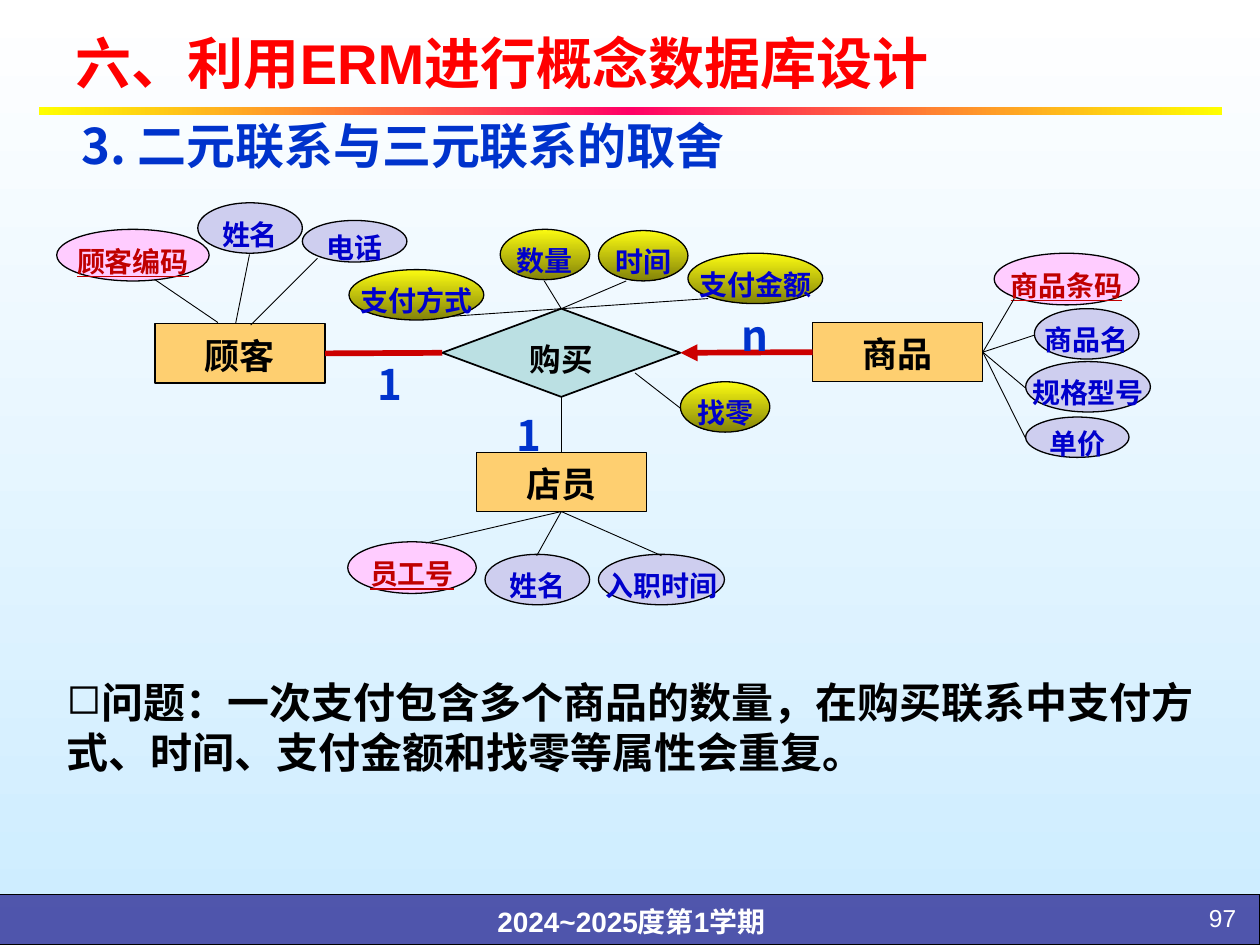
from copy import deepcopy
from dataclasses import dataclass

from lxml import etree
from pptx import Presentation, util as u
from pptx.dml.color import RGBColor
from pptx.enum import shapes as sh, text as tx
from pptx.oxml import ns


@dataclass(frozen=True)
class Theme:
    """Fonts, colours and type sizes of the slide."""
    latin: str = "Arial"
    cjk: str = "Noto Sans CJK SC"
    black: str = "000000"
    white: str = "FFFFFF"
    title: str = "FF0000"
    heading: str = "0033CC"
    label: str = "0000CC"
    key_label: str = "C00000"
    key: str = "FFCCFF"
    attribute: str = "CECEEF"
    relation_attribute: tuple = ("FBFB11", "838309")
    entity: str = "FECF70"
    relation: str = "BBE0E3"
    link: str = "CC0000"
    footer: str = "333399"
    rule: tuple = ("FFFF00", "FF0066", "FFFF00")
    backdrop: tuple = ("FFFFFF", "CCECFF")
    title_size: int = 32
    heading_size: int = 28
    body_size: int = 24
    entity_size: int = 20
    relation_size: int = 18
    label_size: int = 16
    number_size: int = 14


T = Theme()
ENTITY_SIZE = (1.35, 0.47)
TOP, LEFT, BOTTOM, RIGHT = range(4)

ATTRIBUTES = [
    ("顾客编码", (0.45, 1.82, 1.21, 0.41), "key"),
    ("姓名", (1.57, 1.61, 0.83, 0.4), "plain"),
    ("电话", (2.4, 1.75, 0.83, 0.33), "plain"),
    ("员工号", (2.76, 4.3, 1.02, 0.41), "key"),
    ("姓名", (3.85, 4.4, 0.83, 0.4), "plain"),
    ("入职时间", (4.75, 4.4, 1, 0.4), "plain"),
    ("商品条码", (7.89, 2.01, 1.15, 0.41), "key"),
    ("商品名", (8.21, 2.45, 0.83, 0.4), "plain"),
    ("规格型号", (8.14, 2.87, 0.99, 0.4), "plain"),
    ("单价", (8.14, 3.31, 0.82, 0.32), "plain"),
    ("数量", (3.97, 1.82, 0.71, 0.4), "relation"),
    ("时间", (4.75, 1.83, 0.71, 0.4), "relation"),
    ("支付金额", (5.46, 2.01, 1.07, 0.4), "relation"),
    ("找零", (5.4, 3.03, 0.71, 0.4), "relation"),
    ("支付方式", (2.77, 2.14, 1.07, 0.4), "relation"),
]


def inches(values):
    """Turn plain numbers into lengths."""
    return [u.Inches(value) for value in values]


def rgb(color):
    """Read a hex colour."""
    return RGBColor.from_string(color)


def blend(fill, colors, angle):
    """Fill with evenly spaced gradient stops."""
    fill.gradient()
    fill.gradient_angle = angle
    stop_list = fill.gradient_stops[0]._gs.getparent()
    for _ in colors[2:]:
        stop_list.append(deepcopy(stop_list[0]))
    for index, (stop, color) in enumerate(zip(fill.gradient_stops, colors)):
        stop.color.rgb = rgb(color)
        stop.position = index / (len(colors) - 1)


def write(shape, words, *, size, color, font=T.cjk, bold=True, underline=None,
          align=None, spacing=None, anchor=tx.MSO_ANCHOR.TOP, wrap=True,
          grow=False, bullet=None):
    """Put one formatted paragraph into a shape."""
    frame = shape.text_frame
    frame.word_wrap = wrap
    frame.vertical_anchor = anchor
    frame.auto_size = (tx.MSO_AUTO_SIZE.SHAPE_TO_FIT_TEXT if grow
                       else tx.MSO_AUTO_SIZE.NONE)
    paragraph = frame.paragraphs[0]
    paragraph.alignment = align
    paragraph.line_spacing = spacing
    if bullet:
        mark = etree.SubElement(paragraph._p.get_or_add_pPr(), ns.qn("a:buChar"))
        mark.set("char", bullet)
    run = paragraph.add_run()
    run.text = words
    style = run.font
    style.size, style.bold, style.underline = u.Pt(size), bold, underline
    style.color.rgb, style.name = rgb(color), font
    east = etree.SubElement(run._r.get_or_add_rPr(), ns.qn("a:ea"))
    east.set("typeface", T.cjk)


def add_box(slide, kind, at, fill, line=0.75, angle=270):
    """Draw a preset shape with a solid or gradient fill."""
    box = slide.shapes.add_shape(kind, *inches(at))
    box.shadow.inherit = False
    if isinstance(fill, tuple):
        blend(box.fill, fill, angle)
    else:
        box.fill.solid()
        box.fill.fore_color.rgb = rgb(fill)
    if line:
        box.line.color.rgb = rgb(T.black)
        box.line.width = u.Pt(line)
    else:
        box.line.fill.background()
    return box


def add_text(slide, words, at, **style):
    """Add a text box."""
    write(slide.shapes.add_textbox(*inches(at)), words, **style)


def add_entity(slide, name, left, top):
    """Draw an entity rectangle."""
    box = add_box(slide, sh.MSO_SHAPE.RECTANGLE, (left, top, *ENTITY_SIZE), T.entity)
    write(box, name, size=T.entity_size, color=T.black,
          align=tx.PP_ALIGN.CENTER, spacing=1.1)
    return box


def add_attribute(slide, name, at, role):
    """Draw an attribute ellipse, underlined when it is a key."""
    fills = {"key": T.key, "plain": T.attribute, "relation": T.relation_attribute}
    is_key = role == "key"
    oval = add_box(slide, sh.MSO_SHAPE.OVAL, at, fills[role])
    write(oval, name, size=T.label_size, color=T.key_label if is_key else T.label,
          underline=is_key or None, align=tx.PP_ALIGN.CENTER, spacing=1.35,
          anchor=tx.MSO_ANCHOR.MIDDLE, wrap=False)


def add_line(slide, start, end, color=T.black, width=0.5, arrow=False):
    """Link two ends, each a point or a (shape, side) pair."""
    points = [(0, 0) if hasattr(stop[0], "shape_id") else stop for stop in (start, end)]
    line = slide.shapes.add_connector(
        sh.MSO_CONNECTOR.STRAIGHT, *inches(points[0] + points[1]))
    for stop, join in ((start, line.begin_connect), (end, line.end_connect)):
        if hasattr(stop[0], "shape_id"):
            join(*stop)
    line.line.color.rgb = rgb(color)
    line.line.width = u.Pt(width)
    if arrow:
        head = etree.SubElement(line.line._get_or_add_ln(), ns.qn("a:headEnd"))
        head.set("type", "triangle")
    etree.SubElement(line._element.spPr, ns.qn("a:effectLst"))


def add_frame(slide):
    """Draw the backdrop, title, rule and footer."""
    blend(slide.background.fill, T.backdrop, 270)
    band = add_box(slide, sh.MSO_SHAPE.RECTANGLE, (-0.01, 7.1, 10.01, 0.4), T.footer)
    tint = band._element.spPr.find(".//" + ns.qn("a:srgbClr"))
    etree.SubElement(tint, ns.qn("a:alpha")).set("val", "81000")
    add_text(slide, "2024~2025度第1学期", (2.69, 7.08, 4.64, 0.42), size=T.label_size,
             color=T.white, font=T.latin, align=tx.PP_ALIGN.CENTER, spacing=1.2, grow=True)
    add_text(slide, "97", (8.94, 7.12, 0.97, 0.3), size=T.number_size, color=T.white,
             font=T.latin, bold=False, align=tx.PP_ALIGN.RIGHT)
    add_box(slide, sh.MSO_SHAPE.RECTANGLE, (0.31, 0.85, 9.39, 0.06), T.rule, 0, angle=0)
    title = slide.shapes.title
    title.left, title.top, title.width, title.height = inches((0.5, 0.11, 9, 0.76))
    write(title, "六、利用ERM进行概念数据库设计", size=T.title_size, color=T.title,
          font=T.latin, align=tx.PP_ALIGN.LEFT, anchor=tx.MSO_ANCHOR.MIDDLE)


def add_diagram(slide):
    """Draw the purchase relationship with its entities and attributes."""
    customer = add_entity(slide, "顾客", 1.23, 2.57)
    clerk = add_entity(slide, "店员", 3.78, 3.59)
    goods = add_entity(slide, "商品", 6.45, 2.56)
    purchase = add_box(slide, sh.MSO_SHAPE.DIAMOND, (3.51, 2.45, 1.89, 0.7), T.relation, 1)
    write(purchase, "购买", size=T.relation_size, color=T.black, font=T.latin,
          align=tx.PP_ALIGN.CENTER, spacing=1.35, anchor=tx.MSO_ANCHOR.MIDDLE)
    add_line(slide, (customer, RIGHT), (purchase, LEFT), T.link, 3.25)
    add_line(slide, (clerk, TOP), (purchase, BOTTOM))
    add_line(slide, (purchase, RIGHT), (goods, LEFT), T.link, 3.25, arrow=True)
    for attribute in ATTRIBUTES:
        add_attribute(slide, *attribute)
    spokes = [
        ((purchase, TOP), [(4.32, 2.23), (4.97, 2.23), (5.62, 2.37), (3.59, 2.51)]),
        ((goods, RIGHT), [(8.05, 2.37), (8.21, 2.66), (8.14, 3.08), (8.14, 3.48)]),
        ((clerk, BOTTOM), [(3.38, 4.31), (4.26, 4.41), (5.25, 4.41)]),
        ((1.99, 2.58), [(2.52, 2.05)]),
        ((1.87, 2.57), [(1.98, 2.02)]),
        ((1.73, 2.56), [(1.23, 2.22)]),
        ((5.04, 2.96), [(5.4, 3.24)]),
    ]
    for hub, rims in spokes:
        for rim in rims:
            add_line(slide, rim, hub)
    for degree, left, top in (("1", 2.9, 2.66), ("1", 4, 3.06), ("n", 5.79, 2.27)):
        add_text(slide, degree, (left, top, 0.32, 0.64), size=T.body_size,
                 color=T.heading, spacing=1.35, grow=True)


def main():
    """Build and save the slide."""
    deck = Presentation()
    deck.slide_width, deck.slide_height = inches((10, 7.5))
    slide = deck.slides.add_slide(deck.slide_layouts[5])
    add_frame(slide)
    add_diagram(slide)
    add_text(slide, "问题：一次支付包含多个商品的数量，在购买联系中支付方式、时间、支付金额和找零等属性会重复。",
             (0.43, 5.32, 9.3, 0.91), size=T.body_size, color=T.black, font=T.latin,
             grow=True, bullet="◻")
    add_text(slide, "3. 二元联系与三元联系的取舍", (0.55, 0.87, 5.53, 0.57),
             size=T.heading_size, color=T.heading, wrap=False, grow=True)
    deck.save("out.pptx")


if __name__ == "__main__":
    main()
